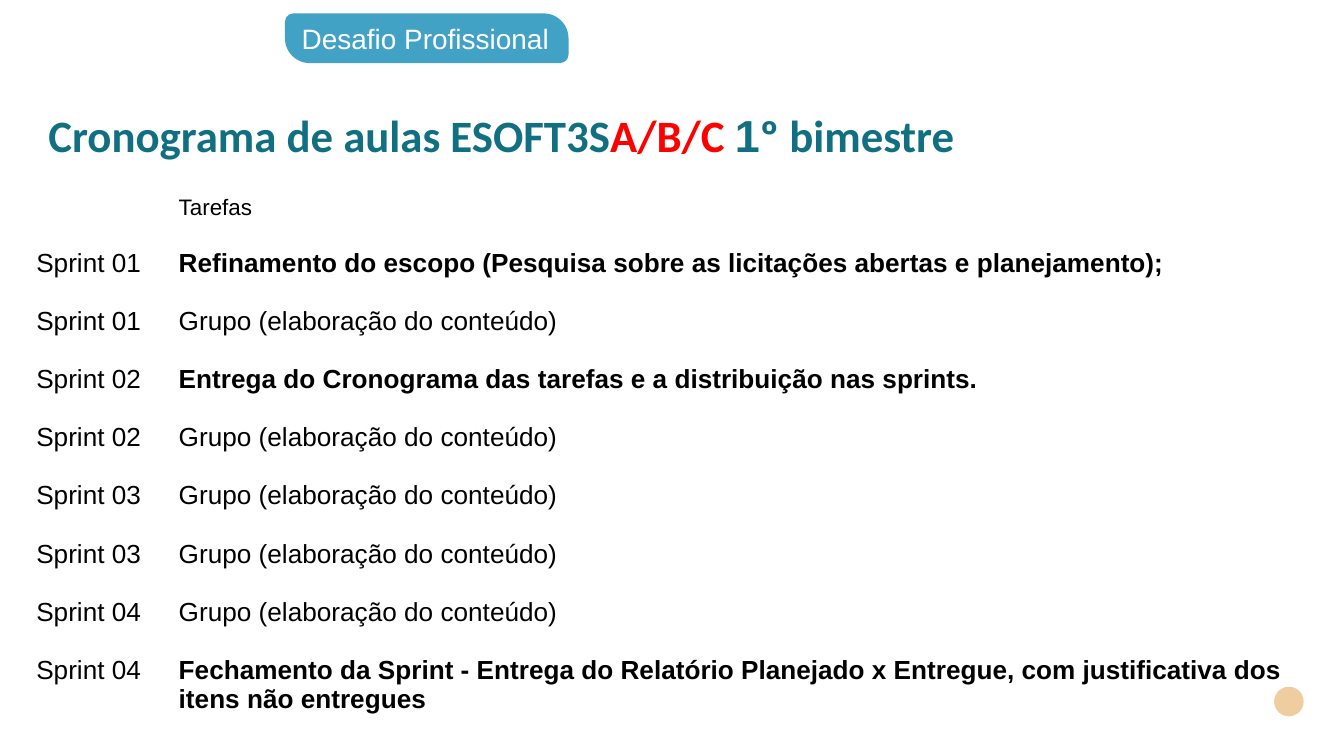
from lxml.etree import SubElement
from pptx import Presentation
from pptx.dml.color import RGBColor
from pptx.enum.shapes import MSO_SHAPE
from pptx.enum.text import MSO_ANCHOR, MSO_AUTO_SIZE, PP_ALIGN
from pptx.oxml.ns import qn
from pptx.util import Inches, Pt

GROUP_WORK = "Grupo (elaboração do conteúdo) "
TASKS = [
    ("Sprint 01", "Refinamento do escopo (Pesquisa sobre as licitações abertas e planejamento);"),
    ("Sprint 01", GROUP_WORK),
    ("Sprint 02", "Entrega do Cronograma das tarefas e a distribuição nas sprints."),
    ("Sprint 02", GROUP_WORK),
    ("Sprint 03", GROUP_WORK),
    ("Sprint 03", GROUP_WORK),
    ("Sprint 04", GROUP_WORK),
    ("Sprint 04", "Fechamento da Sprint - Entrega do Relatório Planejado x Entregue, "
                  "com justificativa dos itens não entregues"),
]


def color(value):
    """Turn a hex string into a colour."""
    return RGBColor.from_string(value)


def set_font(font, size, value, name="Arial", bold=False):
    """Set size, colour, face and weight of a font."""
    font.size, font.name, font.bold = Pt(size), name, bold
    font.color.rgb = color(value)


def set_frame(frame):
    """Give a text frame its insets, wrapping and vertical centring."""
    frame.margin_left = frame.margin_right = Inches(0.07)
    frame.margin_top = frame.margin_bottom = Inches(0.04)
    frame.word_wrap = True
    frame.auto_size = MSO_AUTO_SIZE.NONE
    frame.vertical_anchor = MSO_ANCHOR.MIDDLE


def add_plain_shape(page, kind, left, top, width, height, fill):
    """Add a filled shape with neither line nor shadow."""
    shape = page.shapes.add_shape(kind, Inches(left), Inches(top), Inches(width), Inches(height))
    shape.shadow.inherit = False
    shape.fill.solid()
    shape.fill.fore_color.rgb = color(fill)
    shape.line.fill.background()
    return shape


def add_badge(page):
    """Add the translucent course label."""
    badge = add_plain_shape(page, MSO_SHAPE.ROUND_2_DIAG_RECTANGLE, 2.12, 0.1, 2.11, 0.37, "0082B3")
    badge.adjustments[0], badge.adjustments[1] = 0.17, 0.5
    tint = badge.fill._xPr.find(qn("a:solidFill"))[0]
    SubElement(tint, qn("a:alpha"), val="74000")
    set_frame(badge.text_frame)
    para = badge.text_frame.paragraphs[0]
    para.text = "Desafio Profissional"
    para.alignment = PP_ALIGN.LEFT
    set_font(para.font, 15, "FFFFFF")


def fill_title(page):
    """Place the title and write its coloured spans."""
    title = page.shapes.title
    title.left, title.top = Inches(0.29), Inches(0.49)
    title.width, title.height = Inches(8.5), Inches(1.07)
    set_frame(title.text_frame)
    para = title.text_frame.paragraphs[0]
    para.alignment, para.line_spacing = PP_ALIGN.LEFT, 0.9
    for text, value, name in [
        ("Cronograma de aulas ESOFT3S", "107082", "Calibri"),
        ("A/B/C ", "FF0000", "Calibri"),
        ("1", "107082", "Arial"),
        ("º bimestre", "107082", "Calibri"),
    ]:
        span = para.add_run()
        span.text = text
        set_font(span.font, 24, value, name, True)


def fill_cell(cell, text, size, bold=False):
    """Write one transparent table cell."""
    cell.fill.background()
    margin = Inches(0.1) if text else 0
    cell.margin_left = cell.margin_right = cell.margin_top = cell.margin_bottom = margin
    para = cell.text_frame.paragraphs[0]
    para.text = text
    set_font(para.font, size, "000000", bold=bold)


def add_schedule(page):
    """Add the table of sprints and tasks."""
    table = page.shapes.add_table(len(TASKS) + 1, 2, Inches(0.17), Inches(1.35),
                                  Inches(9.66), Inches(4.1)).table
    table.first_row = table.horz_banding = False
    table.columns[0].width, table.columns[1].width = Inches(1.06), Inches(8.6)
    for row in table.rows:
        row.height = Inches(3.03) // 7
    table.rows[0].height = Inches(0.4)
    table.rows[len(TASKS)].height = Inches(0.65)
    fill_cell(table.cell(0, 0), "", 12)
    fill_cell(table.cell(0, 1), "Tarefas", 12)
    for index, (sprint, task) in enumerate(TASKS, 1):
        fill_cell(table.cell(index, 0), sprint, 14)
        fill_cell(table.cell(index, 1), task, 14, task != GROUP_WORK)


def main():
    """Build and save the deck."""
    deck = Presentation()
    deck.slide_width = Inches(10)
    deck.slide_height = deck.slide_width * 9 // 16
    page = deck.slides.add_slide(deck.slide_layouts[5])
    add_plain_shape(page, MSO_SHAPE.OVAL, 9.48, 5.11, 0.22, 0.22, "F0CDA1")
    add_badge(page)
    fill_title(page)
    add_schedule(page)
    deck.save("out.pptx")


main()
